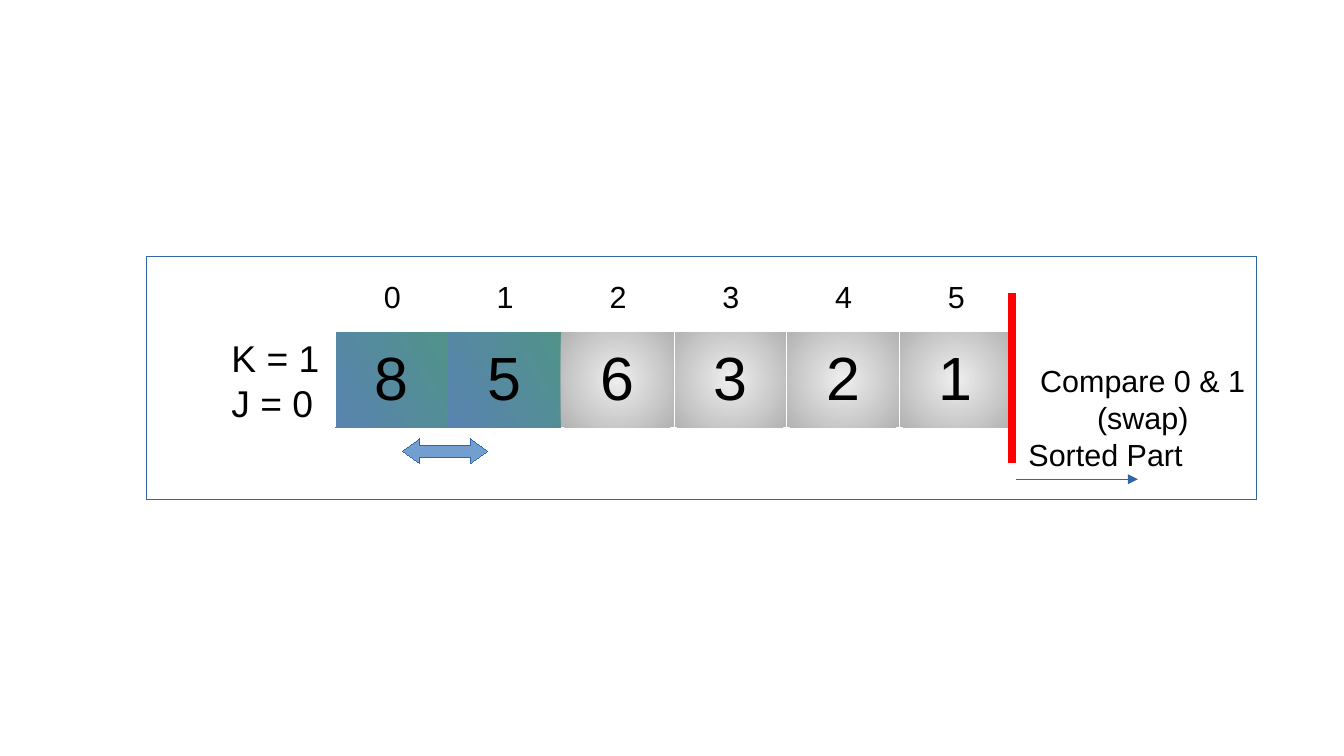
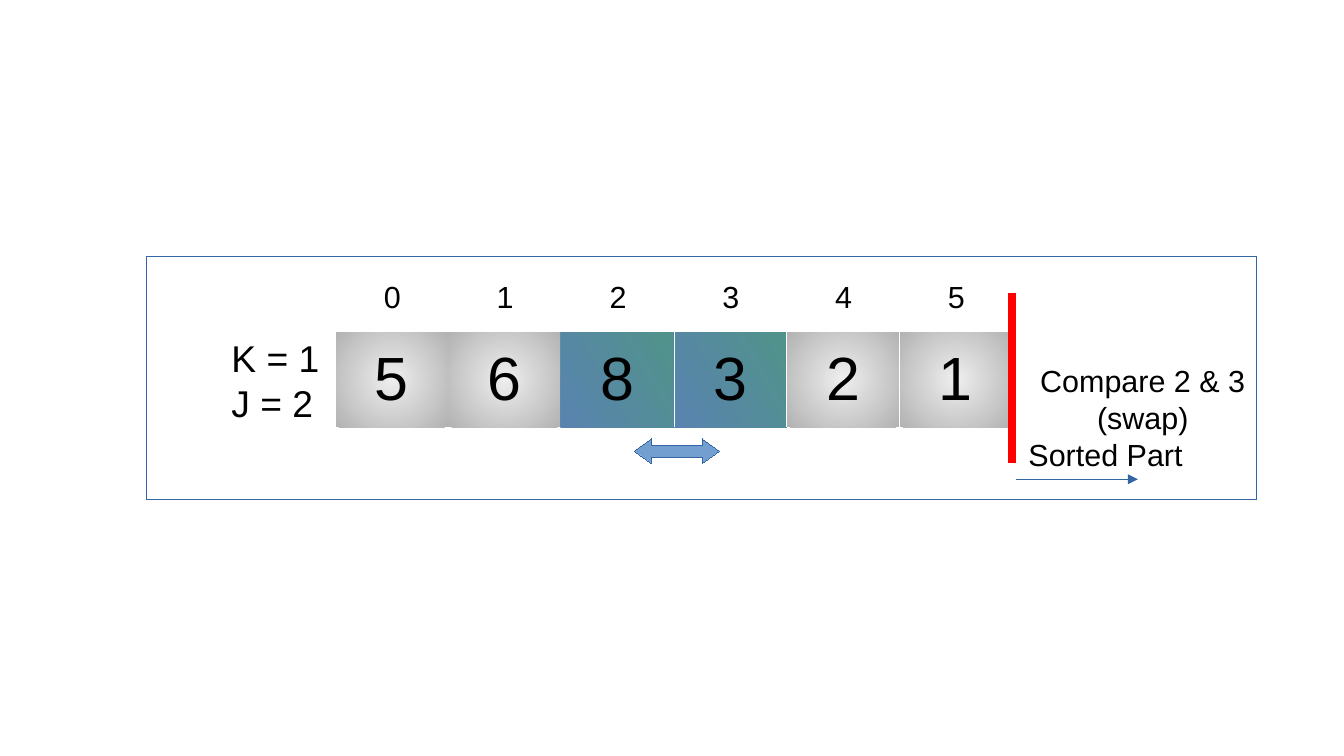
from dataclasses import dataclass

from lxml import etree
from pptx import Presentation
from pptx import util as u
from pptx.dml.color import RGBColor
from pptx.enum import shapes, text
from pptx.oxml.ns import qn


@dataclass(frozen=True)
class Theme:
    font: str = "Arial"
    ink: str = "000000"
    paper: str = "FFFFFF"
    outline: str = "3465A4"
    swap: str = "729FCF"
    boundary: str = "FF0000"
    compared: tuple = ("50938A", "5983B0")
    waiting: tuple = ("EEEEEE", "B2B2B2")
    compared_angle: int = 210
    value_size: int = 36
    counter_size: int = 22
    label_size: int = 18
    hairline: float = 0.01
    cell_line: float = 0.06
    boundary_line: float = 4.5
    plain_table: str = "{2D5ABB26-0587-4C30-8999-92F81FD0307C}"


GRID_COLUMNS, GRID_ROWS = 110.2, 62
CELL_WIDTH, CELL_HEIGHT = 9.25, 7.9
STEPS = [
    (1, 0, [8, 5, 6, 3, 2, 1]),
    (1, 2, [5, 6, 8, 3, 2, 1]),
]


class SortDeck:
    def __init__(self, theme):
        self.theme = theme
        self.deck = Presentation()
        self.deck.slide_width = u.Inches(11.02)
        self.deck.slide_height = u.Inches(6.2)
        self.slide = None

    def new_slide(self):
        self.slide = self.deck.slides.add_slide(self.deck.slide_layouts[6])

    def span(self, *lengths):
        units = (self.deck.slide_width / GRID_COLUMNS,
                 self.deck.slide_height / GRID_ROWS)
        return [round(length * units[i % 2]) for i, length in enumerate(lengths)]

    def style_text(self, paragraph, size, align):
        paragraph.alignment = align
        paragraph.font.name = self.theme.font
        paragraph.font.size = u.Pt(size)
        paragraph.font.color.rgb = RGBColor.from_string(self.theme.ink)

    def style_line(self, line, color, width):
        line.color.rgb = RGBColor.from_string(color)
        line.width = u.Pt(width)

    def shape(self, preset, place, fill, adjustments=()):
        part = self.slide.shapes.add_shape(preset, *self.span(*place))
        part.shadow.inherit = False
        part.fill.solid()
        part.fill.fore_color.rgb = RGBColor.from_string(fill)
        self.style_line(part.line, self.theme.outline, self.theme.hairline)
        for i, value in enumerate(adjustments):
            part.adjustments[i] = value

    def label(self, place, lines, size, align=text.PP_ALIGN.LEFT):
        frame = self.slide.shapes.add_textbox(*self.span(*place)).text_frame
        frame.word_wrap = True
        frame.text = "\n".join(lines)
        for paragraph in frame.paragraphs:
            self.style_text(paragraph, size, align)

    def line(self, ends, color, width, arrow=False):
        rule = self.slide.shapes.add_connector(
            shapes.MSO_CONNECTOR.STRAIGHT, *self.span(*ends))
        self.style_line(rule.line, color, width)
        properties = rule._element.spPr
        if arrow:
            etree.SubElement(properties.find(qn("a:ln")), qn("a:tailEnd"), type="triangle")
        etree.SubElement(properties, qn("a:effectLst"))

    def row(self, left, top, values, size, anchor):
        place = self.span(left, top, CELL_WIDTH * len(values), CELL_HEIGHT)
        table = self.slide.shapes.add_table(1, len(values), *place).table
        table.first_row = table.horz_banding = False
        table._tbl.tblPr.find(qn("a:tableStyleId")).text = self.theme.plain_table
        for cell, value in zip(table.iter_cells(), values):
            cell.text = str(value)
            cell.vertical_anchor = anchor
            cell.fill.background()
            self.style_text(cell.text_frame.paragraphs[0], size, text.PP_ALIGN.CENTER)
        return list(table.iter_cells())

    def shade(self, cell, colors, radial):
        cell.fill.gradient()
        for stop, color, position in zip(cell.fill.gradient_stops, colors, (0, 1)):
            stop.color.rgb = RGBColor.from_string(color)
            stop.position = position
        if not radial:
            cell.fill.gradient_angle = self.theme.compared_angle
            return
        gradient = cell._tc.tcPr.find(qn("a:gradFill"))
        gradient.remove(gradient.find(qn("a:lin")))
        circle = etree.SubElement(gradient, qn("a:path"), path="circle")
        etree.SubElement(circle, qn("a:fillToRect"),
                         {side: "50000" for side in "ltrb"})

    def border(self, cell, sides):
        for i, side in enumerate(sides):
            edge = etree.Element(qn(f"a:ln{side}"), w=str(u.Pt(self.theme.cell_line)))
            solid = etree.SubElement(edge, qn("a:solidFill"))
            etree.SubElement(solid, qn("a:srgbClr"), val=self.theme.paper)
            cell._tc.tcPr.insert(i, edge)

    def array(self, values, first):
        cells = self.row(27.5, 27.15, values, self.theme.value_size, text.MSO_ANCHOR.MIDDLE)
        for index, cell in enumerate(cells):
            waiting = index not in (first, first + 1)
            colors = self.theme.waiting if waiting else self.theme.compared
            self.shade(cell, colors, waiting)
            self.border(cell, ("LT", "T")[index] if index < 2 else "RT")

    def sort_step(self, k, j, values):
        theme = self.theme
        self.new_slide()
        self.shape(shapes.MSO_SHAPE.RECTANGLE, (12, 21, 91, 20), theme.paper)
        self.array(values, j)
        self.label((18, 27, 10, 7.8), [f"K = {k}", f"J = {j}"], theme.counter_size)
        self.row(27.55, 18.4, range(len(values)), theme.label_size, text.MSO_ANCHOR.BOTTOM)
        self.label((83.7, 29.2, 20, 6.6), [f"Compare {j} & {j + 1}", "(swap)"],
                   theme.label_size, text.PP_ALIGN.CENTER)
        self.shape(shapes.MSO_SHAPE.LEFT_RIGHT_ARROW, (33 + 9.5 * j, 36, 7, 2),
                   theme.swap, (0.5, 0.7))
        self.line((83, 24, 83, 38), theme.boundary, theme.boundary_line)
        self.line((83.3, 39.3, 93.3, 39.3), theme.outline, theme.hairline, arrow=True)
        self.label((83.35, 35.3, 17, 3.8), ["Sorted Part"], theme.label_size)


def main():
    sort_deck = SortDeck(Theme())
    for step in STEPS:
        sort_deck.sort_step(*step)
    sort_deck.deck.save("out.pptx")


if __name__ == "__main__":
    main()
